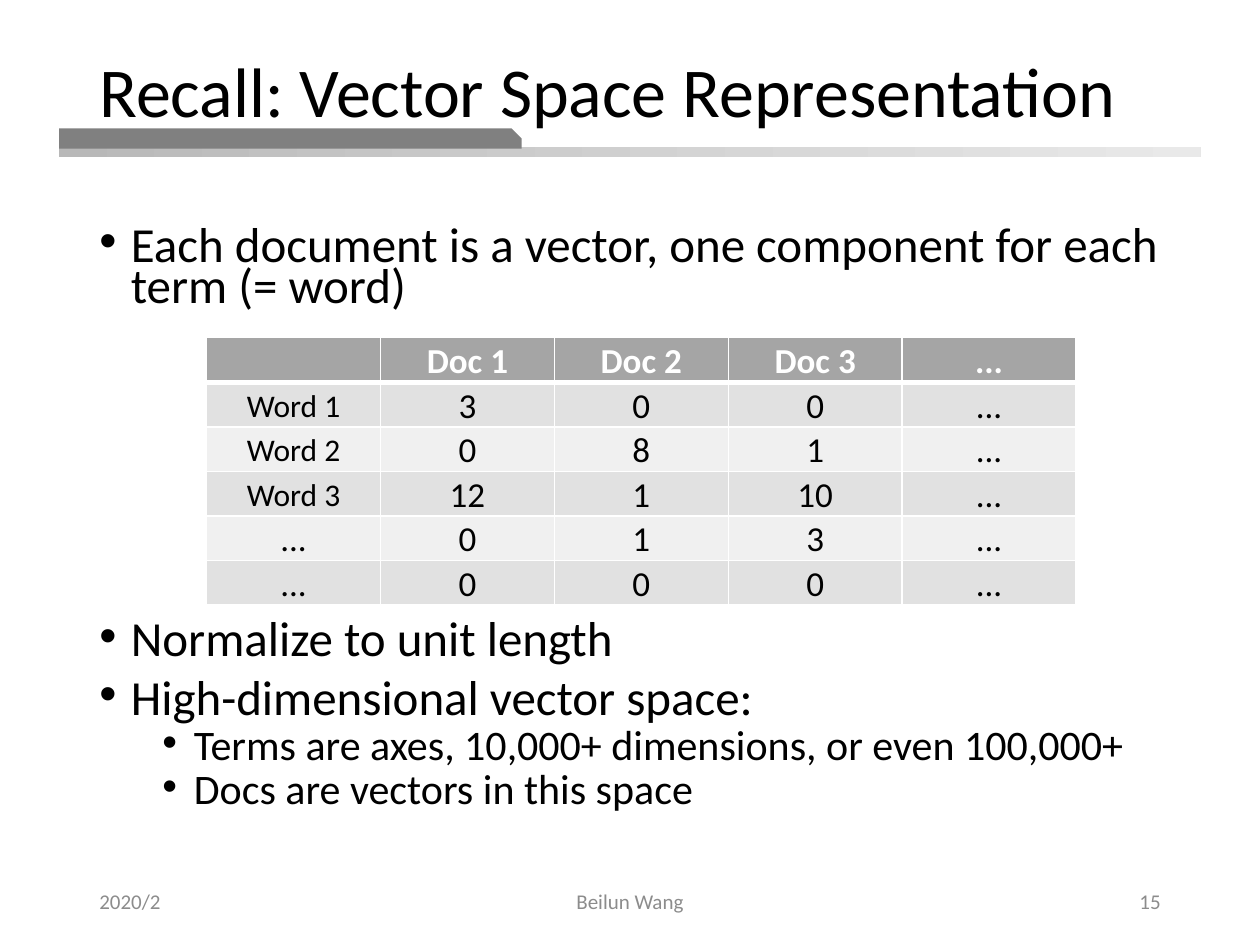
import pptx
import pptx.dml.color
import pptx.enum.shapes
import pptx.enum.text
import pptx.oxml
import pptx.oxml.ns
import pptx.util
from lxml import etree

Inches = pptx.util.Inches
Pt = pptx.util.Pt
Align = pptx.enum.text.PP_ALIGN
Anchor = pptx.enum.text.MSO_ANCHOR
Shape = pptx.enum.shapes.MSO_SHAPE
qn = pptx.oxml.ns.qn

COLORS = {
    "text": "000000", "white": "FFFFFF", "footer": "8C8C8C", "tab": "808080",
    "rule_start": "B8B8B8", "rule_end": "E9E9E9",
    "header": "A5A5A5", "odd_row": "E1E1E1", "even_row": "F0F0F0",
}


def rgb(name):
    return pptx.dml.color.RGBColor.from_string(COLORS[name])


class SlideBuilder:
    """Hold the style and the current slide, and add each kind of element."""

    font_name = "Calibri"

    def __init__(self, slide):
        self.slide = slide

    def style(self, paragraph, size, color="text", bold=False, align=Align.LEFT):
        paragraph.alignment = align
        font = paragraph.font
        font.name, font.size, font.bold = self.font_name, Pt(size), bold
        font.color.rgb = rgb(color)

    def shape(self, kind, left, top, width, height):
        shape = self.slide.shapes.add_shape(
            kind, Inches(left), Inches(top), Inches(width), Inches(height))
        shape.shadow.inherit = False
        shape.line.fill.background()
        return shape

    def rule(self, left, top, width, height):
        fill = self.shape(Shape.RECTANGLE, left, top, width, height).fill
        fill.gradient()
        fill.gradient_angle = 0
        for stop, color in zip(fill.gradient_stops, ("rule_start", "rule_end")):
            stop.color.rgb = rgb(color)

    def tab(self, left, top, width, height):
        shape = self.shape(Shape.SNIP_1_RECTANGLE, left, top, width, height)
        shape.adjustments[0] = 0.5
        shape.fill.solid()
        shape.fill.fore_color.rgb = rgb("tab")

    def text_frame(self, left, top, width, height, anchor=Anchor.TOP):
        frame = self.slide.shapes.add_textbox(
            Inches(left), Inches(top), Inches(width), Inches(height)).text_frame
        frame.word_wrap = True
        frame.vertical_anchor = anchor
        return frame

    def title(self, text, left, top, width, height):
        paragraph = self.text_frame(left, top, width, height).paragraphs[0]
        paragraph.text = text
        paragraph.line_spacing = 0.9
        self.style(paragraph, 40)

    def footer(self, text, left, width, align):
        frame = self.text_frame(left, 6.95, width, 0.4, Anchor.MIDDLE)
        frame.paragraphs[0].text = text
        self.style(frame.paragraphs[0], 12, "footer", align=align)

    def bullets(self, items, left, top, width, height):
        frame = self.text_frame(left, top, width, height)
        for index, (level, text) in enumerate(items):
            paragraph = frame.add_paragraph() if index else frame.paragraphs[0]
            paragraph.text = text
            paragraph.level = level
            properties = paragraph._p.get_or_add_pPr()
            properties.set("marL", str(Inches(0.25 + 0.5 * level)))
            properties.set("indent", str(Inches(-0.25)))
            etree.SubElement(properties, qn("a:buFont")).set("typeface", "Arial")
            etree.SubElement(properties, qn("a:buChar")).set("char", "•")
            paragraph.line_spacing = 0.7
            if index:
                paragraph.space_before = Pt(5 if level else 10)
            self.style(paragraph, 24 if level else 28)

    def borders(self, cell, bottom):
        properties = cell._tc.get_or_add_tcPr()
        widths = {"a:lnL": 1, "a:lnR": 1, "a:lnT": 1, "a:lnB": bottom}
        for position, (tag, width) in enumerate(widths.items()):
            line = etree.Element(qn(tag), w=str(Pt(width)))
            fill = etree.SubElement(line, qn("a:solidFill"))
            etree.SubElement(fill, qn("a:srgbClr")).set("val", COLORS["white"])
            properties.insert(position, line)

    def table(self, rows, left, top, column_width, row_height):
        row_count, column_count = len(rows), len(rows[0])
        table = self.slide.shapes.add_table(
            row_count, column_count, Inches(left), Inches(top),
            Inches(column_width * column_count),
            Inches(row_height * row_count)).table
        for row_index, values in enumerate(rows):
            is_header = row_index == 0
            band = "odd_row" if row_index % 2 else "even_row"
            for column_index, value in enumerate(values):
                cell = table.cell(row_index, column_index)
                is_word = value.startswith("Word")
                cell.text = value
                cell.margin_left = cell.margin_right = cell.margin_bottom = 0
                cell.margin_top = Inches(0.04 if is_word else 0.02)
                cell.fill.solid()
                cell.fill.fore_color.rgb = rgb("header" if is_header else band)
                self.borders(cell, 3 if is_header else 1)
                paragraph = cell.text_frame.paragraphs[0]
                paragraph.space_before = Pt(3 if is_word else 2)
                self.style(paragraph, 18 if is_word else 20,
                           "white" if is_header else "text", is_header, Align.CENTER)


def main():
    presentation = pptx.Presentation()
    presentation.slide_width, presentation.slide_height = Inches(10), Inches(7.5)
    builder = SlideBuilder(presentation.slides.add_slide(presentation.slide_layouts[6]))

    builder.rule(0.47, 1.17, 9.06, 0.08)
    builder.tab(0.47, 1.02, 3.67, 0.16)
    builder.title("Recall: Vector Space Representation", 0.69, 0.4, 8.38, 0.64)
    builder.bullets([
        (0, "Each document is a vector, one component for each term (= word)"),
    ], 0.69, 1.77, 8.62, 0.8)
    builder.bullets([
        (0, "Normalize to unit length"),
        (0, "High-dimensional vector space:"),
        (1, "Terms are axes, 10,000+ dimensions, or even 100,000+"),
        (1, "Docs are vectors in this space"),
    ], 0.69, 4.9, 8.62, 1.86)
    builder.footer("2020/2", 0.69, 2.25, Align.LEFT)
    builder.footer("Beilun Wang", 3.31, 3.38, Align.CENTER)
    builder.footer("15", 7.06, 2.25, Align.RIGHT)
    builder.table([
        ["", "Doc 1", "Doc 2", "Doc 3", "..."],
        ["Word 1", "3", "0", "0", "..."],
        ["Word 2", "0", "8", "1", "..."],
        ["Word 3", "12", "1", "10", "..."],
        ["...", "0", "1", "3", "..."],
        ["...", "0", "0", "0", "..."],
    ], 1.64, 2.68, 1.38, 0.35)

    presentation.save("out.pptx")


if __name__ == "__main__":
    main()
